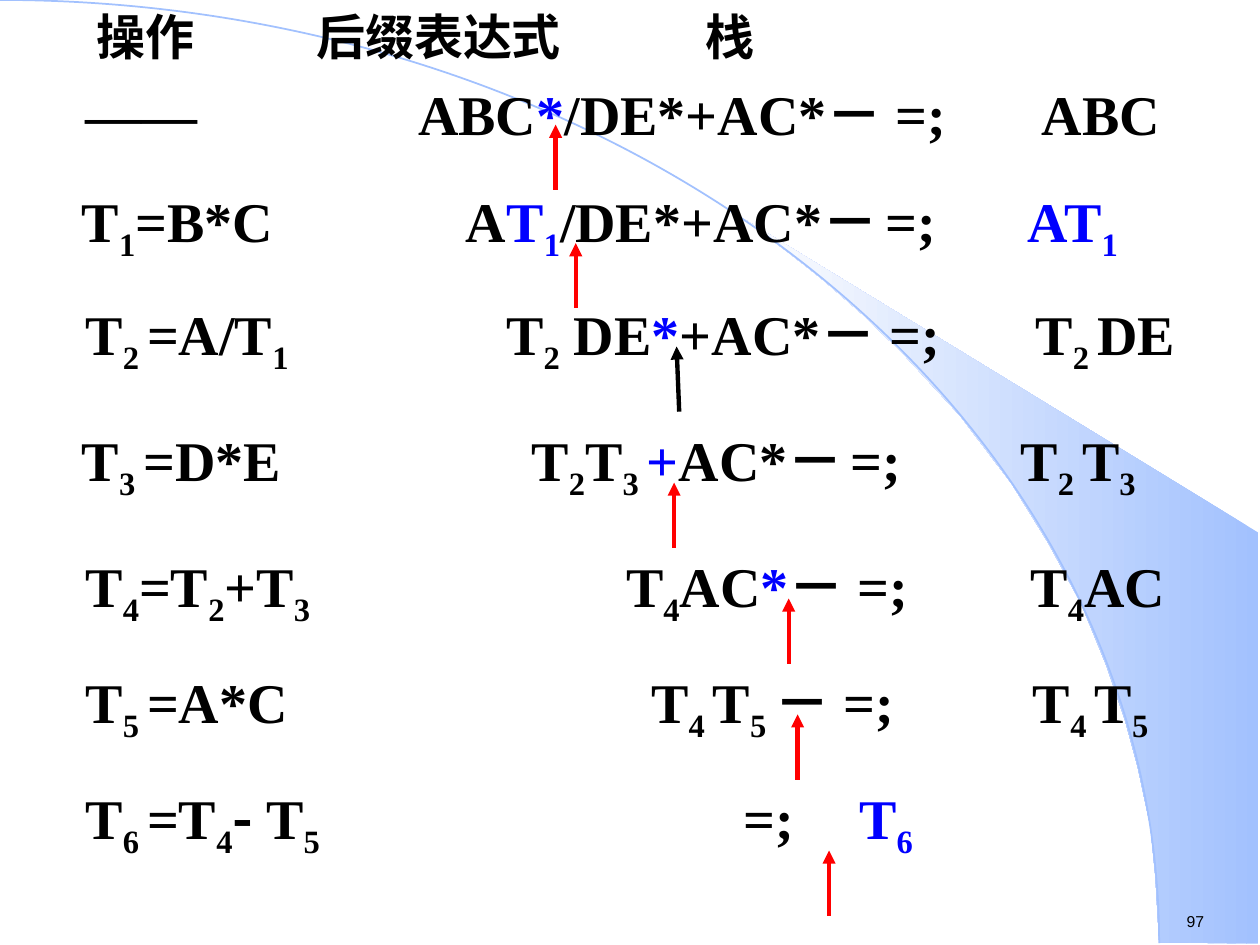
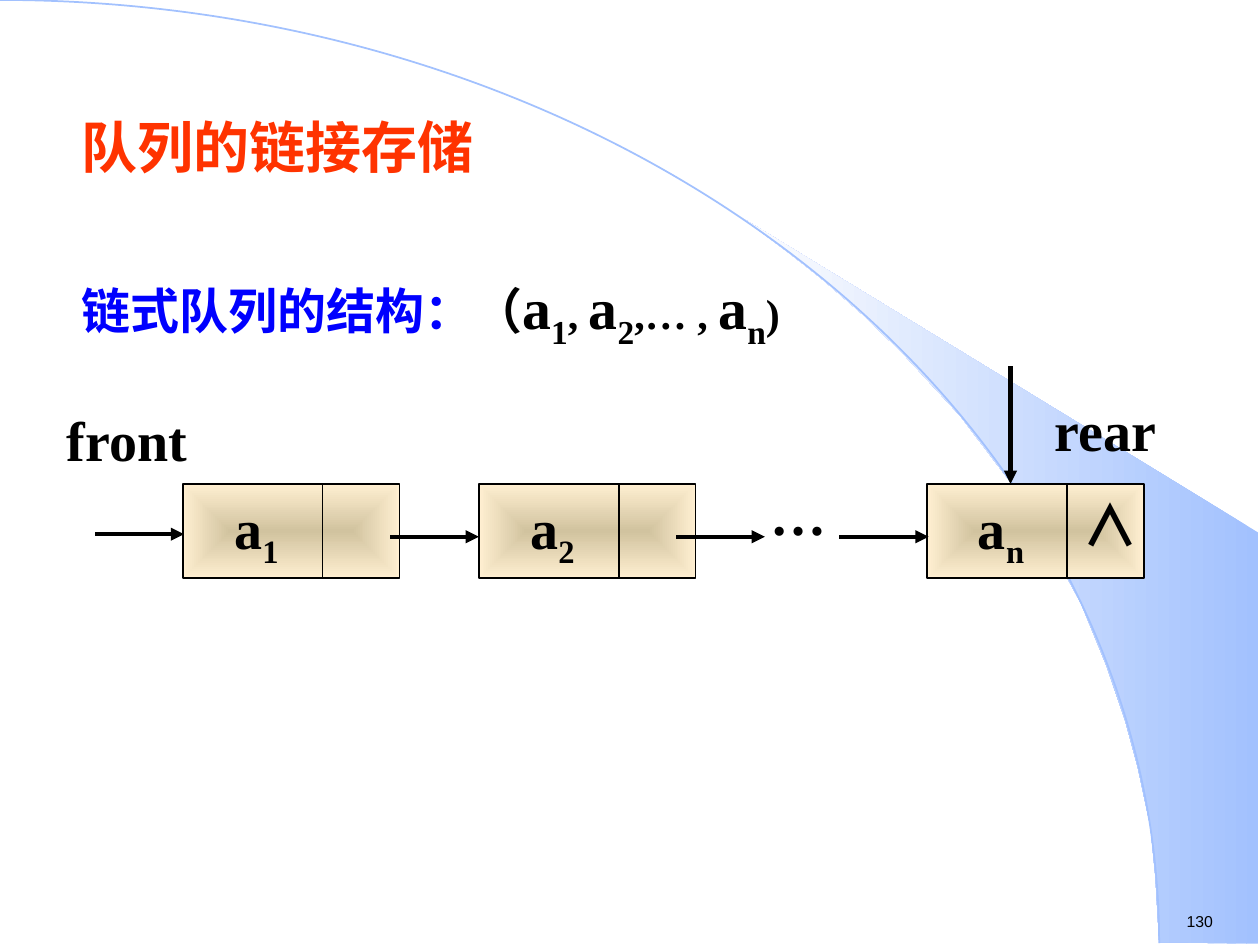
from lxml.etree import SubElement
from pptx import Presentation
from pptx.dml.color import RGBColor
from pptx.enum.shapes import MSO_CONNECTOR as Connector, MSO_SHAPE as Shape
from pptx.enum.text import MSO_ANCHOR as Anchor, MSO_AUTO_SIZE as AutoSize, PP_ALIGN as Align
from pptx.oxml.ns import qn
from pptx.util import Inches, Pt

COLORS = {
    "black": "000000", "blue": "0000FF", "red": "FF0000", "orange": "FF3300",
    "band": "A2C1FE", "band end": "FEFEFE", "cell middle": "D1C39F", "cell edge": "FFEFD1",
}
RGB = {name: RGBColor.from_string(value) for name, value in COLORS.items()}
SERIF, CJK = "Times New Roman", "Noto Sans CJK SC"


def write(box, chunks, color="black", font=SERIF, bold=True, align=Align.LEFT, wrap=True):
    """Write (markup, size) chunks; | parts runs, and a run may start with marks:
    ! is blue, _ is subscript, ~ is the CJK font and ^ is small Arial."""
    frame = box.text_frame
    frame.word_wrap = wrap
    frame.auto_size = AutoSize.NONE
    frame.vertical_anchor = Anchor.TOP
    para = frame.paragraphs[0]
    para.alignment = align
    para.space_before = Pt(0)
    props = para._p.get_or_add_pPr()
    props.set("marL", "0")
    props.set("indent", "0")
    SubElement(props, qn("a:buNone"))
    for markup, size in chunks:
        for part in markup.split("|"):
            text = part.lstrip("!_~^")
            marks = part[:len(part) - len(text)]
            span = para.add_run()
            span.text = text
            span.font.size = Pt(18 if "^" in marks else size)
            span.font.bold = bold
            span.font.color.rgb = RGB["blue" if "!" in marks else color]
            span.font.name = CJK if "~" in marks else "Arial" if "^" in marks else font
            run_props = span._r.get_or_add_rPr()
            SubElement(run_props, qn("a:ea"), typeface=CJK)
            if "_" in marks:
                run_props.set("baseline", "-25000")
    return para


def add_line(page, start, end, color="black", width=2.5, arrow=True):
    line = page.shapes.add_connector(Connector.STRAIGHT, *map(Inches, start + end))
    line.line.color.rgb = RGB[color]
    line.line.width = Pt(width)
    if arrow:
        outline = line.line._get_or_add_ln()
        outline.set("cap", "sq")
        SubElement(outline, qn("a:tailEnd"), type="triangle")
    SubElement(line._element.spPr, qn("a:effectLst"))


deck = Presentation()
deck.slide_width, deck.slide_height = Inches(10), Inches(7.5)
stack_page = deck.slides.add_slide(deck.slide_layouts[5])
queue_page = deck.slides.add_slide(deck.slide_layouts[1])

# Shared background: a shaded band and an arc, kept on the slide master
band_points = [
    (9.2, 7.48), (9.99, 7.49), (9.99, 4.23), (5.89, 1.73), (6.24, 1.99), (6.53, 2.22),
    (6.85, 2.5), (7.16, 2.8), (7.62, 3.3), (8.03, 3.84), (8.32, 4.31), (8.58, 4.79),
    (8.78, 5.28), (8.93, 5.72), (9.03, 6.09), (9.13, 6.56), (9.17, 6.96),
]
corners = [(Inches(x), Inches(y)) for x, y in band_points]
builder = stack_page.shapes.build_freeform(*corners[0])
builder.add_line_segments(corners[1:], close=True)
band = builder.convert_to_shape()
band.fill.gradient()
band.fill.gradient_angle = 180
for stop, name in zip(band.fill.gradient_stops, ("band", "band end")):
    stop.color.rgb = RGB[name]
band.line.fill.background()
arc = stack_page.shapes.add_shape(Shape.ARC, *map(Inches, (-9.2, 0, 18.4, 14.97)))
arc.fill.background()
arc.line.color.rgb = RGB["band"]
arc.line.width = Pt(1)
for position, outline in enumerate((band, arc), start=2):
    outline.shadow.inherit = False
    deck.slide_master.shapes._spTree.insert(position, outline._element)

for page, number in ((stack_page, "97"), (queue_page, "130")):
    box = page.shapes.add_textbox(*map(Inches, (9.32, 7.19, 0.77, 0.25)))
    write(box, [(number, 9)], font="Arial", bold=False, wrap=False)

# Evaluating a postfix expression with a stack
heading = stack_page.shapes.title
heading.left, heading.top, heading.width, heading.height = map(Inches, (2.41, 0, 2.6, 0.57))
write(heading, [("后缀表达式", 28)], font=CJK)
for text, left in (("操作", 0.67), ("栈", 5.5)):
    box = stack_page.shapes.add_textbox(*map(Inches, (left, 0, 1.2, 0.57)))
    write(box, [(text, 28)], font=CJK)

# top, then operation, expression and stack each with its left edge, then the arrow tip
steps = [
    (0.58, [("——", 0.58), ("ABC|!*|/DE*+AC*|－ =;", 3.22), ("ABC", 8.17)], (4.41, 0.99)),
    (1.43, [("T|_1|=B*C", 0.55), ("A|!T|!_1|/DE*+AC*－|^ |=;", 3.6), ("!AT|!_1", 8.06)],
     (4.57, 1.93)),
    (2.33, [("T|_2 |=A/T|_1", 0.58), ("T|_2| DE|!*|+AC*－ =;", 3.92), ("T|_2 |DE", 8.12)],
     (5.37, 2.75)),
    (3.33, [("T|_3 |=D*E", 0.55), ("T|_2|T|_3 |!+|AC*－|^ |=;", 4.12), ("T|_2 |T|_3", 8)],
     (5.35, 3.83)),
    (4.33, [("T|_4|=T|_2|+T|_3", 0.58), ("T|_4|AC|!*|－ =;", 4.87), ("T|_4|AC", 8.08)],
     (6.26, 4.75)),
    (5.25, [("T|_5 |=A*C", 0.58), ("T|_4 |T|_5 |－ =;", 5.07), ("T|_4 |T|_5", 8.1)],
     (6.33, 5.67)),
    (6.17, [("T|_6 |=T|_4|~- |T|_5", 0.58), ("=;", 5.8), ("!T|!_6", 6.72)], (6.58, 6.75)),
]
for top, columns, (tip_x, tip_y) in steps:
    rights = [left for _, left in columns[1:]] + [10]
    for (markup, left), right in zip(columns, rights):
        box = stack_page.shapes.add_textbox(*map(Inches, (left, top, right - left, 0.71)))
        write(box, [(markup, 32)])
    slanted = top == 2.33
    add_line(stack_page, (tip_x + 0.02 * slanted, tip_y + 0.5), (tip_x, tip_y),
             "black" if slanted else "red")

# Linked storage of a queue
title, body = queue_page.placeholders
title.left, title.top, title.width, title.height = map(Inches, (0.55, 0.84, 9.25, 0.8))
write(title, [("队列的链接存储", 32)], color="orange")
body.left, body.top, body.width, body.height = map(Inches, (0.55, 2.11, 9.25, 0.75))
write(body, [
    ("!链式队列的结构：|（", 28), ("a|_1", 33), (", ", 24), ("a|_2", 33),
    (",… , ", 24), ("a|_n", 33), (")", 24),
])

node_top, node_height = 3.84, 0.75
for left, index in ((1.45, "1"), (3.8, "2"), (7.36, "n")):
    node = queue_page.shapes.add_shape(
        Shape.RECTANGLE, *map(Inches, (left, node_top, 1.72, node_height)))
    node.shadow.inherit = False
    node.fill.gradient()
    for stop, name in zip(node.fill.gradient_stops, ("cell middle", "cell edge")):
        stop.color.rgb = RGB[name]
    gradient = node._element.spPr.find(qn("a:gradFill"))
    gradient.remove(gradient.find(qn("a:lin")))
    center = SubElement(gradient, qn("a:path"), path="rect")
    SubElement(center, qn("a:fillToRect"), l="50000", t="50000", r="50000", b="50000")
    node.line.color.rgb = RGB["black"]
    node.line.width = Pt(1)
    divider = left + 1.11
    add_line(queue_page, (divider, node_top), (divider, node_top + node_height),
             width=1, arrow=False)
    box = queue_page.shapes.add_textbox(*map(Inches, (left + 0.07, 3.92, 1.03, 0.59)))
    write(box, [(f"a|_{index}", 32)], align=Align.CENTER).line_spacing = 0.8

labels = [
    ("front", 0.43, 3.17, 1.33, Align.LEFT),
    ("rear", 8.27, 3.09, 1.17, Align.LEFT),
    ("…", 6.02, 3.76, 0.75, Align.LEFT),
    ("~∧", 8.4, 3.84, 0.83, Align.CENTER),
]
for text, left, top, width, align in labels:
    box = queue_page.shapes.add_textbox(*map(Inches, (left, top, width, 0.64)))
    write(box, [(text, 32)], align=align)

for start_x, y in ((0.77, 4.24), (3.11, 4.26), (5.38, 4.26), (6.68, 4.26)):
    add_line(queue_page, (start_x, y), (start_x + 0.69, y))
add_line(queue_page, (8.02, 2.92), (8.02, node_top))

deck.save("out.pptx")
